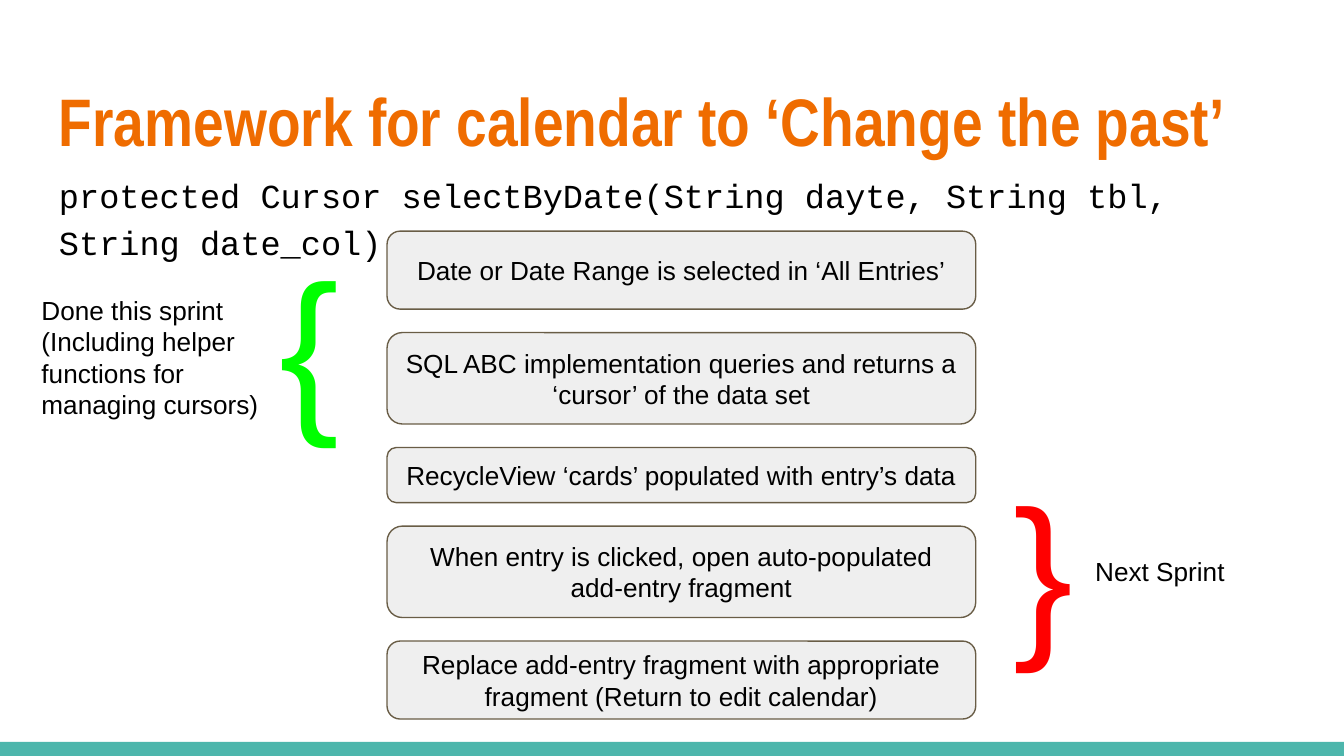
from dataclasses import dataclass

import pptx
import pptx.dml.color
import pptx.enum.shapes
import pptx.enum.text
import pptx.util

Inches = pptx.util.Inches
Pt = pptx.util.Pt
SHAPE = pptx.enum.shapes.MSO_SHAPE
ALIGN = pptx.enum.text.PP_ALIGN
ANCHOR = pptx.enum.text.MSO_ANCHOR

SLIDE_W = 10
SLIDE_H = SLIDE_W * 9 / 16
BLACK = "000000"


@dataclass
class Label:
    text: str
    left: float
    top: float
    width: float
    height: float
    size: int = 14
    color: str = BLACK
    font: str = "Arial"
    bold: bool = False
    line_spacing: float = 1.0
    space_after: int = 0


@dataclass
class Step:
    text: str
    height: float


def rgb(value: str) -> pptx.dml.color.RGBColor:
    return pptx.dml.color.RGBColor.from_string(value)


def set_attrs(obj, values: dict) -> None:
    for name, value in values.items():
        setattr(obj, name, value)


def write(sp, label: Label, align=ALIGN.LEFT, anchor=ANCHOR.TOP) -> None:
    tf = sp.text_frame
    margins = {f"margin_{side}": Inches(0.1) for side in ("left", "top", "right", "bottom")}
    set_attrs(tf, {"word_wrap": True, "vertical_anchor": anchor, **margins})
    for i, line in enumerate(label.text.split("\n")):
        p = tf.add_paragraph() if i else tf.paragraphs[0]
        set_attrs(p, {"alignment": align, "line_spacing": label.line_spacing,
                      "space_after": Pt(label.space_after)})
        r = p.add_run()
        r.text = line
        set_attrs(r.font, {"name": label.font, "size": Pt(label.size), "bold": label.bold})
        r.font.color.rgb = rgb(label.color)


def add_label(s, label: Label) -> None:
    box = map(Inches, (label.left, label.top, label.width, label.height))
    write(s.shapes.add_textbox(*box), label)


def add_box(s, kind, left: float, top: float, width: float, height: float, fill: str):
    sp = s.shapes.add_shape(kind, *map(Inches, (left, top, width, height)))
    sp.shadow.inherit = False
    sp.fill.solid()
    sp.fill.fore_color.rgb = rgb(fill)
    sp.line.fill.background()
    return sp


def add_steps(s, steps: list[Step], left: float, top: float, width: float, bottom: float) -> None:
    """Stack the steps with equal gaps between top and bottom."""
    gap = (bottom - top - sum(step.height for step in steps)) / (len(steps) - 1)
    for step in steps:
        sp = add_box(s, SHAPE.ROUNDED_RECTANGLE, left, top, width, step.height, "EFEFEF")
        sp.line.color.rgb = rgb("695D46")
        sp.line.width = Pt(0.75)
        write(sp, Label(step.text, left, top, width, step.height), ALIGN.CENTER, ANCHOR.MIDDLE)
        top += step.height + gap


HEADINGS = [
    Label("Framework for calendar to ‘Change the past’", 0.34, 0.49, 9.32, 0.77,
          size=36, color="EF6C00", font="Arial Narrow", bold=True),
    Label("protected Cursor selectByDate(String dayte, String tbl, String date_col)",
          0.34, 1.16, 9.32, 4.4, size=18, font="Courier New", line_spacing=1.15,
          space_after=16),
]
STEPS = [
    Step("Date or Date Range is selected in ‘All Entries’", 0.58),
    Step("SQL ABC implementation queries and returns a ‘cursor’ of the data set", 0.68),
    Step("RecycleView ‘cards’ populated with entry’s data", 0.41),
    Step("When entry is clicked, open auto-populated add-entry fragment", 0.68),
    Step("Replace add-entry fragment with appropriate fragment (Return to edit calendar)", 0.58),
]
SPRINT_NOTES = [
    Label("{", 1.98, 1.63, 0.98, 1.91, size=96, color="00FF00"),
    Label("}", 7.44, 3.3, 0.98, 1.91, size=96, color="FF0000"),
    Label("Done this sprint\n(Including helper functions for managing cursors)",
          0.21, 2.09, 1.82, 1),
    Label("Next Sprint", 8.05, 4.03, 1.61, 0.84),
]


def main() -> None:
    prs = pptx.Presentation()
    set_attrs(prs, {"slide_width": Inches(SLIDE_W), "slide_height": Inches(SLIDE_H)})
    s = prs.slides.add_slide(prs.slide_layouts[6])

    # Footer band, down to the slide's lower edge
    band_top = 5.52
    add_box(s, SHAPE.RECTANGLE, 0, band_top, SLIDE_W, SLIDE_H - band_top, "4DB6AC")

    # Title and method signature
    for label in HEADINGS:
        add_label(s, label)

    # Flow of steps
    add_steps(s, STEPS, left=2.88, top=1.72, width=4.38, bottom=5.35)

    # Braces and sprint notes
    for label in SPRINT_NOTES:
        add_label(s, label)

    prs.save("out.pptx")


if __name__ == "__main__":
    main()
